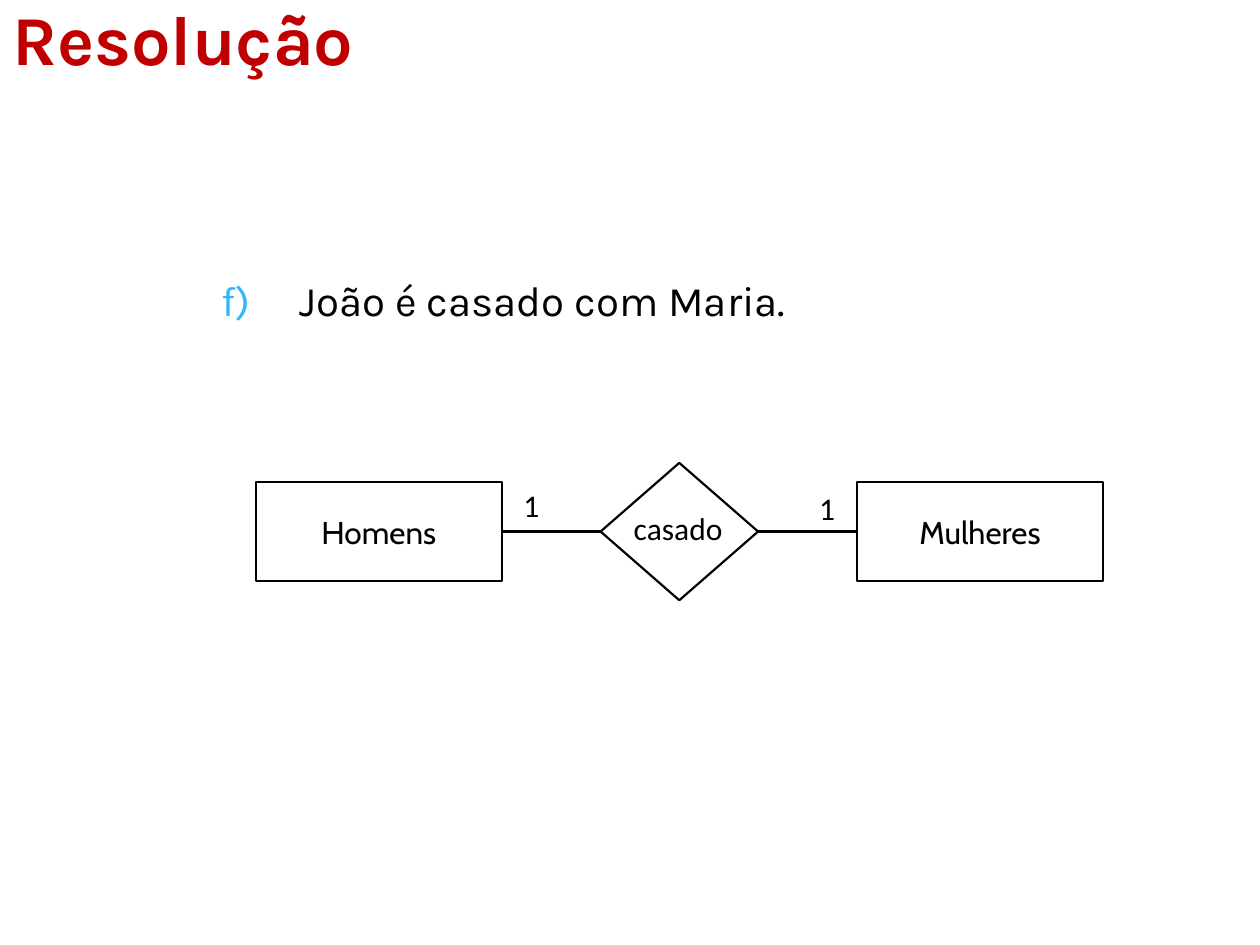
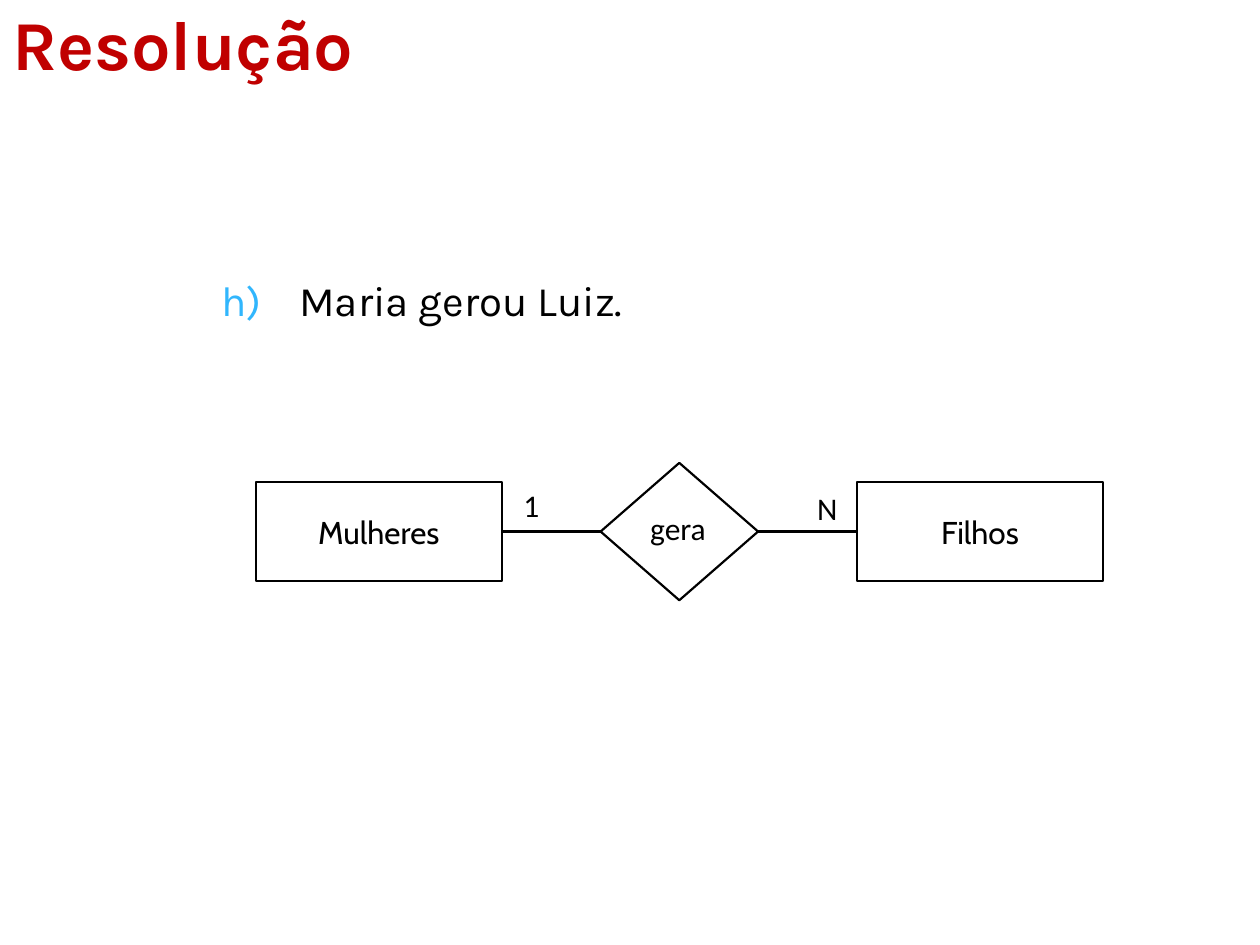
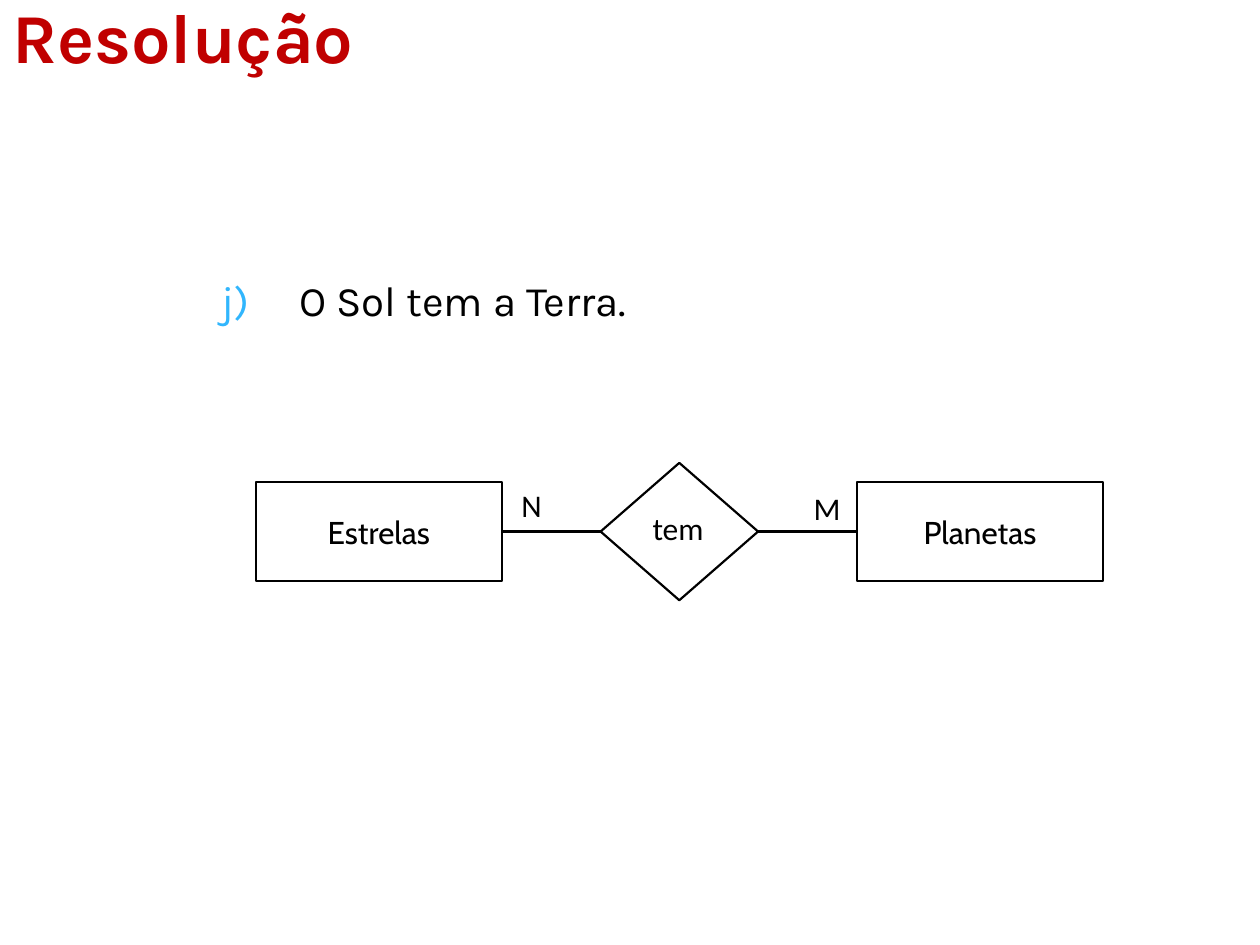
import pptx
import pptx.util
from dataclasses import dataclass
from lxml import etree
from pptx.dml.color import RGBColor
from pptx.enum.shapes import MSO_CONNECTOR, MSO_SHAPE
from pptx.enum.text import MSO_ANCHOR, MSO_AUTO_SIZE, PP_ALIGN
from pptx.oxml.ns import qn

Pt = pptx.util.Pt

# Content: one relationship per slide
TITLE = "Resolução"
SLIDES = [
    dict(item=6, sentence="João é casado com Maria.", title_height=43.2, title_spacing=None,
         entities=("Homens", "Mulheres"), relation="casado", cardinality=("1", "1")),
    dict(item=8, sentence="Maria gerou Luiz.", title_height=49, title_spacing=None,
         entities=("Mulheres", "Filhos"), relation="gera", cardinality=("1", "N")),
    dict(item=10, sentence="O Sol tem a Terra.", title_height=49, title_spacing=0.8,
         entities=("Estrelas", "Planetas"), relation="tem", cardinality=("N", "M")),
]


@dataclass(frozen=True)
class Theme:
    title_color: str = "C00000"
    ink: str = "000000"
    paper: str = "FFFFFF"
    marker: str = "31B6FD"
    heading_font: str = "Karla"
    entity_font: str = "Cabin"
    label_font: str = "Calibri"
    title_size: int = 40
    sentence_size: int = 24
    diagram_size: int = 18
    outline: float = 1.25
    link: float = 2.25


THEME = Theme()

# Diagram geometry in points
CENTER_Y = 303.75
ENTITY_W, ENTITY_H = 140.5, 56.2
RELATION_W, RELATION_H = 90, 78.5
GAP = 56.5
LEFT_X = 146.2
RELATION_X = LEFT_X + ENTITY_W + GAP
RIGHT_X = RELATION_X + RELATION_W + GAP
LABEL_W, LABEL_H = 34, 28.8
NAME_W = 78.5


def add_run(p, text, font, size, color, bold=False):
    r = p.add_run()
    r.text = text
    r.font.name = font
    r.font.size = Pt(size)
    r.font.bold = bold
    r.font.color.rgb = RGBColor.from_string(color)


def add_text_box(shapes, x, y, w, h):
    tf = shapes.add_textbox(Pt(x), Pt(y), Pt(w), Pt(h)).text_frame
    tf.word_wrap = True
    return tf


def add_title(slide, height, spacing):
    tf = add_text_box(slide.shapes, 0, 0, 648, height)
    tf.vertical_anchor = MSO_ANCHOR.MIDDLE
    p = tf.paragraphs[0]
    if spacing:
        p.line_spacing = spacing
    add_run(p, TITLE, THEME.heading_font, THEME.title_size, THEME.title_color, bold=True)


def add_sentence(slide, text, item):
    p = add_text_box(slide.shapes, 113, 153.4, 590.4, 66.2).paragraphs[0]
    p.space_before = Pt(6)
    add_run(p, text, THEME.heading_font, THEME.sentence_size, THEME.ink)
    # Lettered marker with a hanging indent
    pPr = p._p.get_or_add_pPr()
    pPr.set("marL", str(Pt(51)))
    pPr.set("indent", str(Pt(-44.6)))
    color = etree.SubElement(pPr, qn("a:buClr"))
    etree.SubElement(color, qn("a:srgbClr"), val=THEME.marker)
    etree.SubElement(pPr, qn("a:buAutoNum"), type="alphaLcParenR", startAt=str(item))


def add_node(shapes, kind, x, w, h):
    sp = shapes.add_shape(kind, Pt(x), Pt(CENTER_Y - h / 2), Pt(w), Pt(h))
    sp.shadow.inherit = False
    sp.fill.solid()
    sp.fill.fore_color.rgb = RGBColor.from_string(THEME.paper)
    sp.line.color.rgb = RGBColor.from_string(THEME.ink)
    sp.line.width = Pt(THEME.outline)
    return sp


def add_entity(shapes, name, x):
    sp = add_node(shapes, MSO_SHAPE.RECTANGLE, x, ENTITY_W, ENTITY_H)
    sp.text_frame.vertical_anchor = MSO_ANCHOR.MIDDLE
    p = sp.text_frame.paragraphs[0]
    p.alignment = PP_ALIGN.CENTER
    add_run(p, name, THEME.entity_font, THEME.diagram_size, THEME.ink)
    return sp


def add_label(shapes, text, x, y, w):
    tf = add_text_box(shapes, x, y, w, LABEL_H)
    tf.auto_size = MSO_AUTO_SIZE.SHAPE_TO_FIT_TEXT
    p = tf.paragraphs[0]
    p.alignment = PP_ALIGN.CENTER
    add_run(p, text, THEME.label_font, THEME.diagram_size, THEME.ink)


def add_link(shapes, start, end):
    line = shapes.add_connector(MSO_CONNECTOR.STRAIGHT, 0, 0, 0, 0)
    line.begin_connect(start, 3)
    line.end_connect(end, 1)
    line.line.color.rgb = RGBColor.from_string(THEME.ink)
    line.line.width = Pt(THEME.link)
    etree.SubElement(line._element.spPr, qn("a:effectLst"))


def add_diagram(slide, entities, relation, cardinality):
    shapes = slide.shapes.add_group_shape().shapes
    left, right = [add_entity(shapes, name, x) for name, x in zip(entities, (LEFT_X, RIGHT_X))]
    diamond = add_node(shapes, MSO_SHAPE.DIAMOND, RELATION_X, RELATION_W, RELATION_H)
    add_label(shapes, relation, RELATION_X + 5, 287.3, NAME_W)
    add_link(shapes, left, diamond)
    add_link(shapes, diamond, right)
    # Cardinalities sit above the links, next to their entities
    add_label(shapes, cardinality[0], LEFT_X + ENTITY_W, 274.4, LABEL_W)
    add_label(shapes, cardinality[1], RIGHT_X - LABEL_W, 275.7, LABEL_W)


def main():
    prs = pptx.Presentation()
    prs.slide_width, prs.slide_height = Pt(720), Pt(540)
    for data in SLIDES:
        slide = prs.slides.add_slide(prs.slide_layouts[6])
        add_sentence(slide, data["sentence"], data["item"])
        add_title(slide, data["title_height"], data["title_spacing"])
        add_diagram(slide, data["entities"], data["relation"], data["cardinality"])
    prs.save("out.pptx")


if __name__ == "__main__":
    main()
